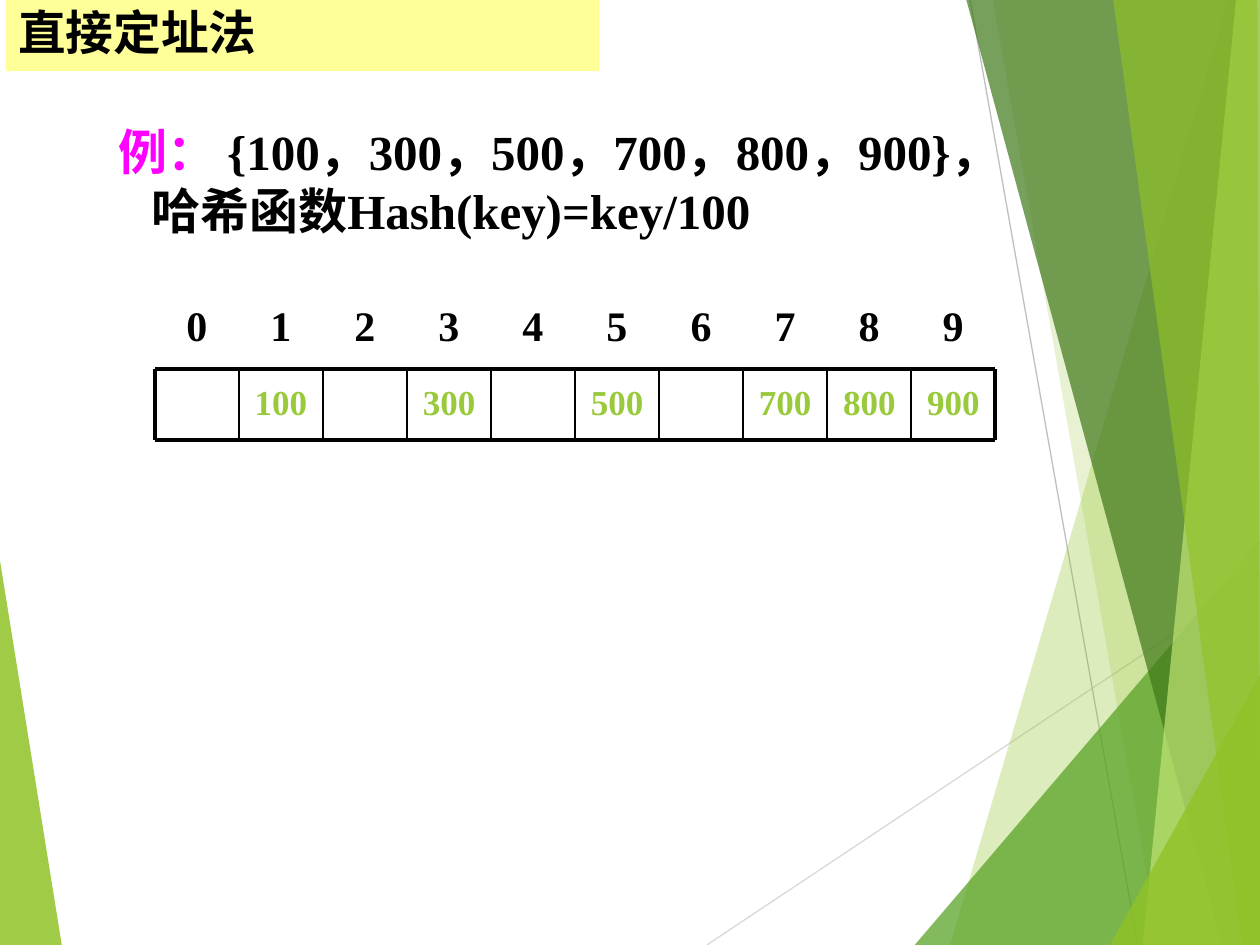
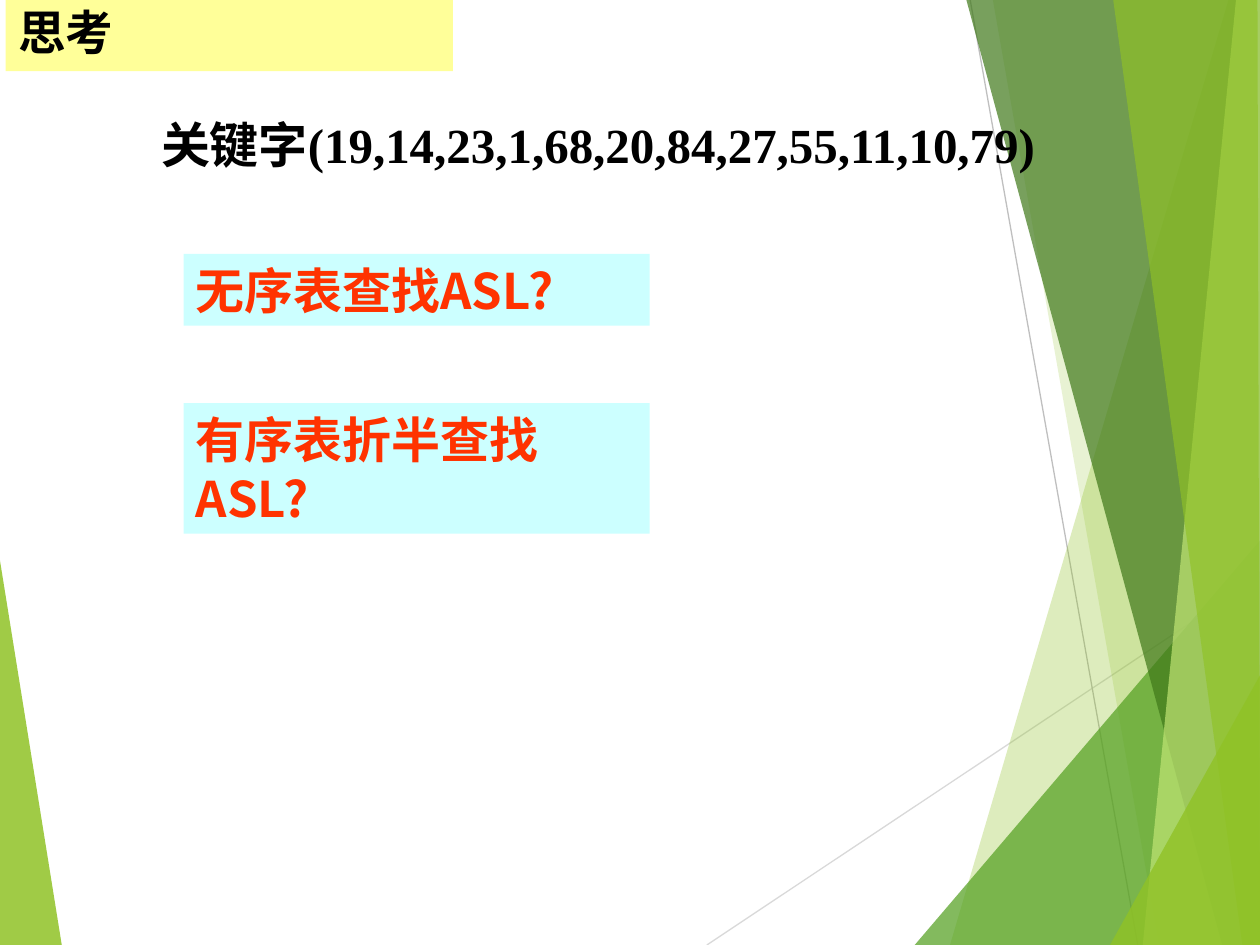
from lxml import etree
from pptx import Presentation
from pptx.dml.color import RGBColor
from pptx.enum.shapes import MSO_CONNECTOR, MSO_SHAPE
from pptx.enum.text import MSO_ANCHOR, PP_ALIGN
from pptx.oxml.ns import qn
from pptx.util import Inches, Pt

LINE = MSO_CONNECTOR.STRAIGHT
RECT = MSO_SHAPE.RECTANGLE
TOP, MIDDLE = MSO_ANCHOR.TOP, MSO_ANCHOR.MIDDLE
LEFT, CENTER = PP_ALIGN.LEFT, PP_ALIGN.CENTER

BLACK = RGBColor(0x00, 0x00, 0x00)
MAGENTA = RGBColor(0xFF, 0x00, 0xFF)
RED = RGBColor(0xFF, 0x33, 0x00)
YELLOW = RGBColor(0xFF, 0xFF, 0x99)
CYAN = RGBColor(0xCC, 0xFF, 0xFF)
KEY_GREEN = RGBColor(0x99, 0xCA, 0x3C)
LIME = RGBColor(0x90, 0xC2, 0x26)
GREEN = RGBColor(0x54, 0xA0, 0x21)
DARK_GREEN = RGBColor(0x3F, 0x78, 0x19)
PALE_GREEN = RGBColor(0xC0, 0xE4, 0x74)
GREY = RGBColor(0xBF, 0xBF, 0xBF)
LIGHT_GREY = RGBColor(0xD9, 0xD9, 0xD9)

HAN = "Noto Sans CJK SC"
LATIN = "Times New Roman"

prs = Presentation()
prs.slide_width, prs.slide_height = Inches(10), Inches(7.5)
COL, ROW = prs.slide_width // 100, prs.slide_height // 75

RAYS = [
    ((56.1, 75), (100, 45.76), LIGHT_GREY, 0.75),
    ((77, 0), (90.3, 75), GREY, 0.75),
]
FACETS = [
    (LIME, 85, [(0, 44.5), (4.9, 75), (0, 75)]),
    (LIME, 30, [(97.5, 0), (75.4, 75), (100, 75), (100, 0)]),
    (LIME, 20, [(78.8, 0), (92, 75), (100, 75), (100, 0)]),
    (GREEN, 72, [(72.6, 75), (100, 42.9), (100, 75)]),
    (DARK_GREEN, 70, [(76.7, 0), (97, 75), (100, 75), (100, 0)]),
    (PALE_GREEN, 70, [(98.1, 0), (90.7, 75), (100, 75), (100, 0)]),
    (LIME, 65, [(88.35, 0), (98.6, 75), (100, 75), (99.8, 0)]),
    (LIME, 80, [(88.1, 75), (100, 53.6), (100, 75)]),
]

SLOTS, SLOT_W = 10, 6.67
SLOT_X, SLOT_TOP, SLOT_END = 12.3, 29.3, 34.9
RIGHT = SLOT_X + SLOTS * SLOT_W
SLOT_LINES = [((SLOT_X, y), (RIGHT, y), BLACK, 2.25) for y in (SLOT_TOP, SLOT_END)]
for i in range(SLOTS + 1):
    x = SLOT_X + i * SLOT_W
    SLOT_LINES.append(((x, SLOT_TOP), (x, SLOT_END), BLACK, 2.25 if i in (0, SLOTS) else 1))


def add_run(p, text, size, color, font):
    r = p.add_run()
    r.text = text
    r.font.size, r.font.bold, r.font.name = Pt(size), True, font
    r.font.color.rgb = color
    etree.SubElement(r._r.get_or_add_rPr(), qn("a:ea")).set("typeface", HAN)


def add_box(s, x, y, w, h, fill=None, anchor=TOP, wrap=True):
    place = int(x * COL), int(y * ROW), int(w * COL), int(h * ROW)
    if fill is None:
        sp = s.shapes.add_textbox(*place)
    else:
        sp = s.shapes.add_shape(RECT, *place)
        sp.shadow.inherit = False
        sp.line.fill.background()
        sp.fill.solid()
        sp.fill.fore_color.rgb = fill
    tf = sp.text_frame
    tf.word_wrap, tf.vertical_anchor = wrap, anchor
    tf.paragraphs[0].alignment = LEFT
    return tf


for title, width, slot_lines in [("直接定址法", 47.1, SLOT_LINES), ("思考", 35.5, [])]:
    s = prs.slides.add_slide(prs.slide_layouts[6])
    for (x1, y1), (x2, y2), color, weight in RAYS + slot_lines:
        line = s.shapes.add_connector(LINE, int(x1 * COL), int(y1 * ROW), int(x2 * COL), int(y2 * ROW))
        line.line.color.rgb, line.line.width = color, Pt(weight)
        etree.SubElement(line._element.spPr, qn("a:effectLst"))
    for color, opacity, corners in FACETS:
        points = [(x * COL, y * ROW) for x, y in corners]
        outline = s.shapes.build_freeform(*points[0])
        outline.add_line_segments(points[1:])
        facet = outline.convert_to_shape()
        facet.shadow.inherit = False
        facet.line.fill.background()
        facet.fill.solid()
        facet.fill.fore_color.rgb = color
        rgb = facet._element.spPr.find(qn("a:solidFill"))[0]
        etree.SubElement(rgb, qn("a:alpha")).set("val", str(opacity * 1000))
    p = add_box(s, 0.45, 0, width, 5.64, YELLOW, MIDDLE).paragraphs[0]
    p.line_spacing = 0.9
    add_run(p, title, 27.2, BLACK, HAN)

direct, think = prs.slides

tf = add_box(direct, 6.7, 9.15, 85, 10.4)
p = tf.paragraphs[0]
p._p.get_or_add_pPr().set("marL", str(int(1.7 * COL)))
add_run(p, "例： ", 28, MAGENTA, HAN)
add_run(p, "{100，300，500，700，800，900}", 28, BLACK, LATIN)
add_run(p, "，", 28, BLACK, HAN)
p = tf.add_paragraph()
p.alignment = LEFT
p._p.get_or_add_pPr().set("marL", str(int(4.35 * COL)))
add_run(p, "哈希函数", 28, BLACK, HAN)
add_run(p, "Hash(key)=key/100", 28, BLACK, LATIN)

p = add_box(direct, 13.8, 23.3, 66.8, 5).paragraphs[0]
tabs = etree.SubElement(p._p.get_or_add_pPr(), qn("a:tabLst"))
for i in range(1, SLOTS):
    etree.SubElement(tabs, qn("a:tab"), pos=str(int(i * SLOT_W * COL)), algn="l")
add_run(p, "\t".join(str(i) for i in range(SLOTS)), 24, BLACK, LATIN)

for key in (100, 300, 500, 700, 800, 900):
    tf = add_box(direct, SLOT_X + key // 100 * SLOT_W, SLOT_TOP, SLOT_W, SLOT_END - SLOT_TOP)
    tf.margin_top = int(0.9 * ROW)
    p = tf.paragraphs[0]
    p.alignment = CENTER
    add_run(p, str(key), 20, KEY_GREEN, LATIN)

p = add_box(think, 11.8, 8.6, 72.5, 5.7, wrap=False).paragraphs[0]
add_run(p, "关键字(19,14,23,1,68,20,84,27,55,11,10,79)", 28, BLACK, LATIN)
for question, y, height in [("无序表查找ASL?", 20.15, 5.7), ("有序表折半查找ASL?", 32, 10.35)]:
    p = add_box(think, 14.57, y, 37, height, CYAN).paragraphs[0]
    add_run(p, question, 28, RED, HAN)

prs.save("out.pptx")
